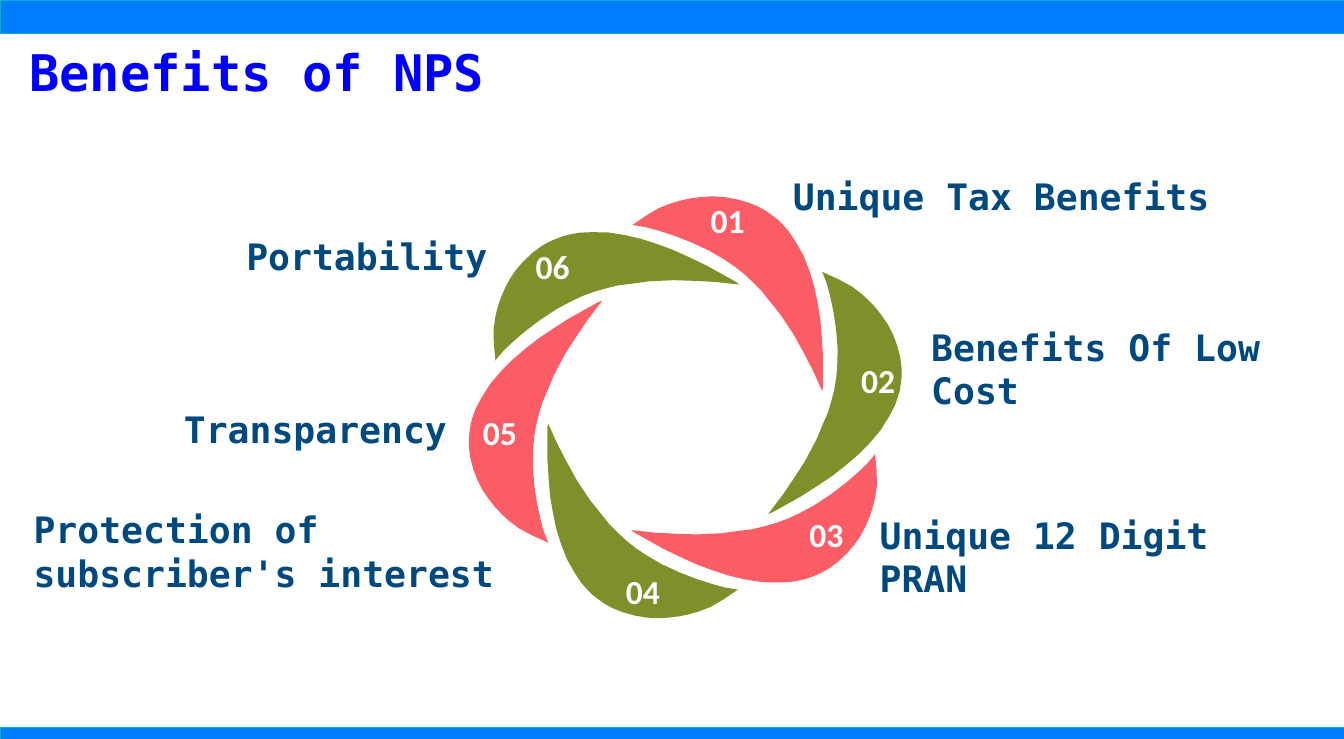
"""Build the slide on the benefits of NPS, a ring of six numbered petals."""
import math

from pptx import Presentation
from pptx import util as u
from pptx.dml.color import RGBColor
from pptx.enum import shapes, text

BLUE = RGBColor(0x00, 0x7D, 0xFF)
TEAL = RGBColor(0x11, 0xAE, 0xC7)
TITLE_BLUE = RGBColor(0x00, 0x00, 0xFF)
NAVY = RGBColor(0x00, 0x49, 0x7F)
CORAL = RGBColor(0xFB, 0x5D, 0x66)
OLIVE = RGBColor(0x7F, 0x90, 0x2A)
WHITE = RGBColor(0xFF, 0xFF, 0xFF)

LEFT, CENTER, RIGHT = text.PP_ALIGN.LEFT, text.PP_ALIGN.CENTER, text.PP_ALIGN.RIGHT
TOP, MIDDLE, BOTTOM = text.MSO_ANCHOR.TOP, text.MSO_ANCHOR.MIDDLE, text.MSO_ANCHOR.BOTTOM

WIDTH, HEIGHT = 50.8, 27.94
RING_X, RING_Y = 25.9, 15.4
STRETCH = 1.035
UNIT = 0.0254
PETAL = [
    (-79, -271), (-57, -286), (-38, -297), (-20, -304), (-6, -308), (8, -311),
    (24, -313), (40, -314), (57, -313), (75, -310), (93, -305), (108, -299),
    (119, -293), (129, -286), (138, -279), (146, -271), (154, -262), (164, -247),
    (176, -226), (185, -203), (192, -180), (197, -156), (201, -132), (203, -109),
    (205, -78), (205, -31), (204, -24), (190, -55), (177, -80), (161, -109),
    (141, -139), (124, -160), (113, -174), (100, -187), (87, -199), (73, -210),
    (58, -220), (36, -233), (8, -246), (-18, -256), (-40, -263), (-58, -268),
    (-76, -271),
]

NUMBERS = [
    (TOP, CENTER, (0.25, 0.13, 0.25, 0.13)),
    (TOP, RIGHT, (0.25, 3.33, 0.25, 0.13)),
    (MIDDLE, RIGHT, (0.25, 1.68, 1.27, 0.51)),
    (BOTTOM, CENTER, (0.25, 0.13, 0.25, 0.25)),
    (MIDDLE, LEFT, (0.53, 1.78, 0.25, 1.02)),
    (TOP, LEFT, (1.59, 0.51, 0.25, 0.13)),
]

LABELS = [
    ("Unique Tax Benefits", (29.97, 6.43, 17.91, 1.93), LEFT),
    ("Benefits Of Low Cost", (35.2, 12.14, 14.73, 3.58), LEFT),
    ("Unique 12 Digit PRAN", (33.25, 19.25, 14.63, 3.58), LEFT),
    ("Protection of subscriber's interest", (1.27, 19.05, 20.12, 3.58), LEFT),
    ("Transparency", (2.84, 15.24, 14.3, 1.93), RIGHT),
    ("Portability", (7.98, 8.71, 10.69, 1.93), RIGHT),
]


def write(tf, words, *, size, color, font="DejaVu Sans Mono", align=LEFT, anchor=TOP,
          insets=(0.25, 0.13, 0.25, 0.13), spacing=1.0):
    tf.word_wrap = True
    tf.vertical_anchor = anchor
    tf.margin_left, tf.margin_top, tf.margin_right, tf.margin_bottom = map(u.Cm, insets)
    p = tf.paragraphs[0]
    p.alignment = align
    p.line_spacing = spacing
    r = p.add_run()
    r.text = words
    r.font.name, r.font.size, r.font.bold = font, u.Pt(size), True
    r.font.color.rgb = color


def petal_points(turn):
    c, s = math.cos(turn), math.sin(turn)
    points = []
    for px, py in PETAL:
        x = px / STRETCH
        points.append((u.Cm(RING_X + UNIT * STRETCH * (x * c - py * s)),
                       u.Cm(RING_Y + UNIT * (x * s + py * c))))
    return points


class Deck:
    def __init__(self):
        self.prs = Presentation()
        self.prs.slide_width, self.prs.slide_height = u.Cm(WIDTH), u.Cm(HEIGHT)
        self.s = self.prs.slides.add_slide(self.prs.slide_layouts[6])

    def paint(self, sp, fill, line=None):
        sp.shadow.inherit = False
        sp.fill.solid()
        sp.fill.fore_color.rgb = fill
        if line is None:
            sp.line.fill.background()
        else:
            sp.line.color.rgb = line
            sp.line.width = u.Pt(0.5)

    def bar(self, top, height):
        sp = self.s.shapes.add_shape(shapes.MSO_SHAPE.RECTANGLE, 0, u.Cm(top),
                                     u.Cm(WIDTH), u.Cm(height))
        self.paint(sp, BLUE, TEAL)

    def label(self, words, box, **style):
        sp = self.s.shapes.add_textbox(*map(u.Cm, box))
        write(sp.text_frame, words, **style)

    def petal(self, index, anchor, align, insets):
        points = petal_points(math.radians(60 * index))
        builder = self.s.shapes.build_freeform(*points[0], scale=1.0)
        builder.add_line_segments(points[1:], close=True)
        sp = builder.convert_to_shape()
        self.paint(sp, OLIVE if index % 2 else CORAL)
        write(sp.text_frame, f"{index + 1:02d}", size=36, color=WHITE, font="Calibri",
              align=align, anchor=anchor, insets=insets)


def main():
    deck = Deck()
    deck.label("Benefits of NPS", (0.85, 1.7, 49.33, 2.11), size=54, color=TITLE_BLUE,
               spacing=0.9)
    deck.bar(0, 1.27)
    deck.bar(27.51, 0.43)
    for index, number in enumerate(NUMBERS):
        deck.petal(index, *number)
    for words, box, align in LABELS:
        deck.label(words, box, size=39, color=NAVY, align=align, anchor=MIDDLE,
                   insets=(0, 0.13, 0.25, 0.13))
    deck.prs.save("out.pptx")


if __name__ == "__main__":
    main()
